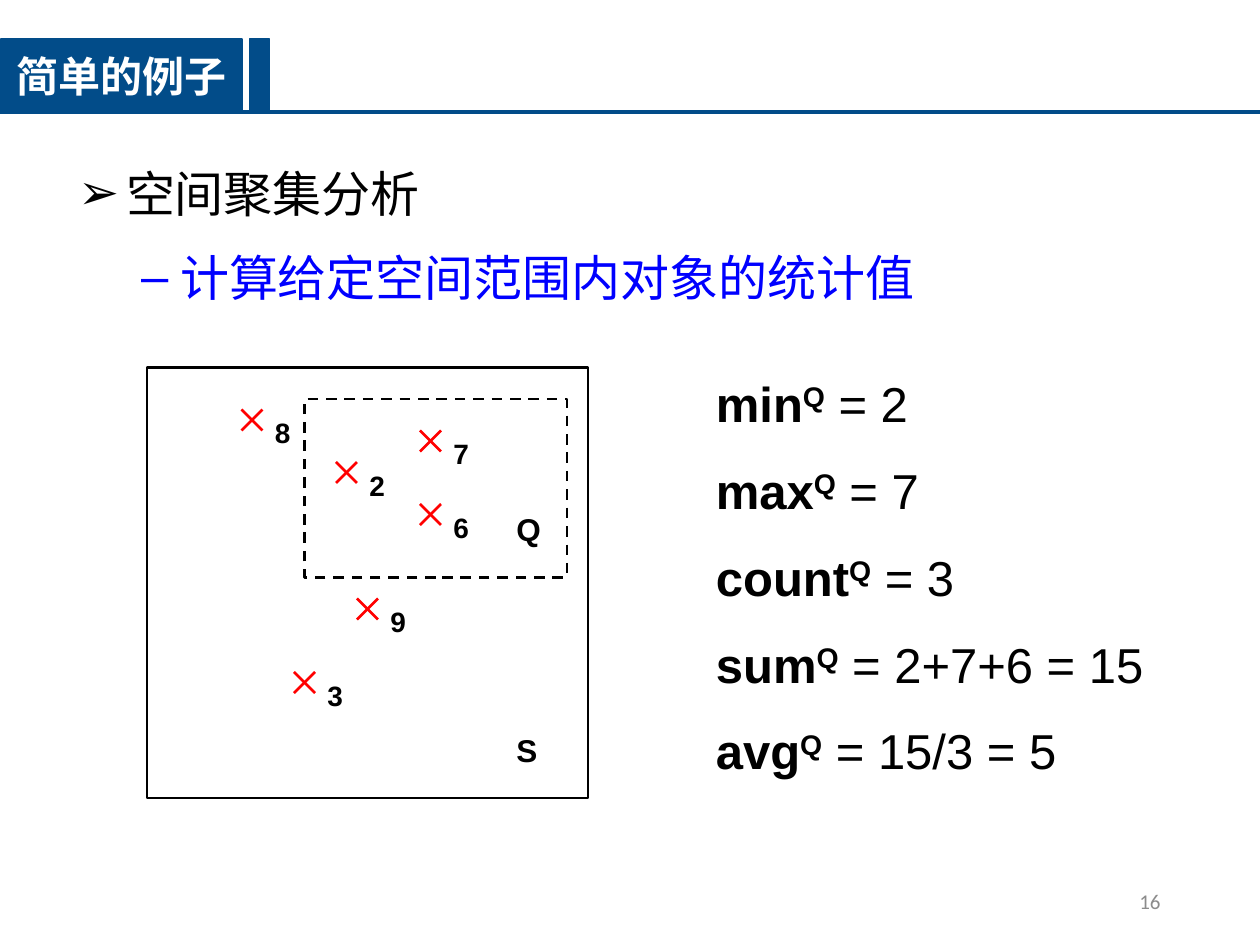
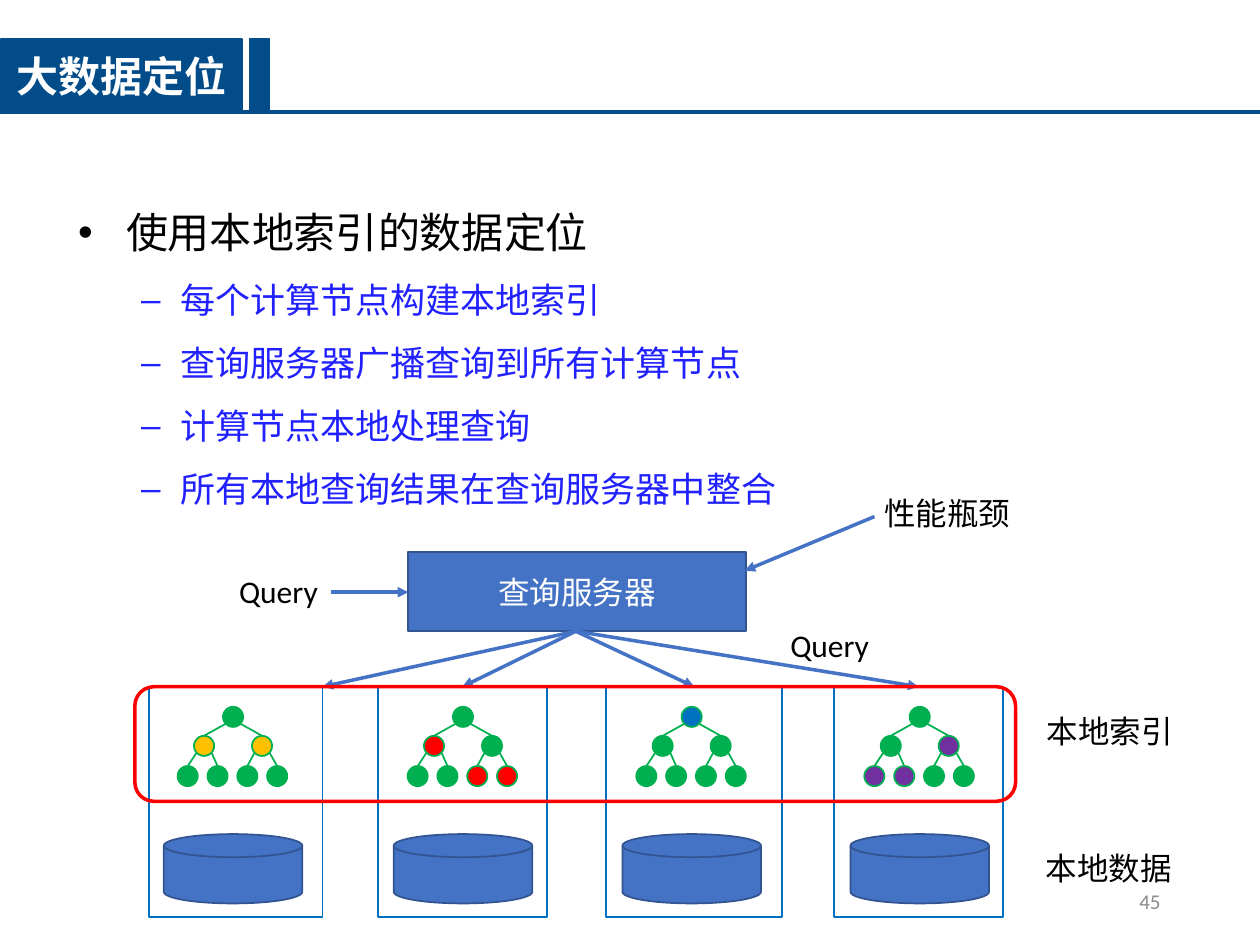
from lxml.etree import SubElement
from pptx import Presentation
from pptx.dml.color import RGBColor
from pptx.enum.dml import MSO_LINE
from pptx.enum.shapes import MSO_CONNECTOR, MSO_SHAPE
from pptx.enum.text import MSO_ANCHOR, MSO_AUTO_SIZE, PP_ALIGN
from pptx.oxml.ns import qn
from pptx.util import Inches, Pt

deck = Presentation()
deck.slide_width, deck.slide_height = Inches(10), Inches(7.5)
unit = deck.slide_width / 120
hue = RGBColor.from_string
NAVY, BLUE, EDGE, SEA = "024C89", "4472C4", "325491", "0070C0"
GREEN, RED, GOLD, PLUM = "00B050", "FF0000", "FFC000", "7030A0"
BLACK, WHITE, GREY = "000000", "FFFFFF", "8C8C8C"
NOTO = "Noto Sans CJK SC"
RECT = MSO_SHAPE.RECTANGLE
LEFT, MID, RIGHT = PP_ALIGN.LEFT, PP_ALIGN.CENTER, PP_ALIGN.RIGHT


def place(slide, kind, at, fill=None, edge=None, wide=1, tip=False):
    span = [round(v * unit) for v in at]
    if kind == "line":
        item = slide.shapes.add_connector(MSO_CONNECTOR.STRAIGHT, *span)
    elif kind == "text":
        item = slide.shapes.add_textbox(*span)
    elif kind in ("title", "body"):
        item = slide.placeholders[0 if kind == "title" else 1]
        item.left, item.top, item.width, item.height = span
    else:
        item = slide.shapes.add_shape(kind, *span)
    if kind != "line":
        item.text_frame.word_wrap = True
        item.text_frame.auto_size = MSO_AUTO_SIZE.NONE
        if fill:
            item.fill.solid()
            item.fill.fore_color.rgb = hue(fill)
        else:
            item.fill.background()
    if edge:
        item.line.color.rgb = hue(edge)
        item.line.width = Pt(wide)
        if tip:
            SubElement(item.line._get_or_add_ln(), qn("a:tailEnd"), type="triangle")
        SubElement(item._element.spPr, qn("a:effectLst"))
    return item


def write(para, text, size, face, tint=BLACK, bold=False, align=LEFT):
    if text:
        para.add_run().text = text
    para.alignment = align
    font = para.font
    font.size, font.name, font.bold = Pt(size), face, bold
    font.color.rgb = hue(tint)


pages = [
    ("简单的例子", "16", (6.24, 13.56, 103.8, 37.08), [
        ("空间聚集分析", 0, "➢", 28, NOTO, BLACK),
        ("计算给定空间范围内对象的统计值", 1, "–", 28, NOTO, "0000FF")]),
    ("大数据定位", "45", (6.24, 17.88, 77.76, 27.48), [
        ("使用本地索引的数据定位", 0, "•", 24, "Times New Roman", BLACK)] + [
        (line, 1, "–", 20, "Times New Roman", "2121FF") for line in (
            "每个计算节点构建本地索引", "查询服务器广播查询到所有计算节点",
            "计算节点本地处理查询", "所有本地查询结果在查询服务器中整合")]),
]
for head, num, at, rows in pages:
    slide = deck.slides.add_slide(deck.slide_layouts[1])
    place(slide, "line", (0, 10.68, 120, 10.68), edge=NAVY, wide=2)
    title = place(slide, "title", (0.12, 3.72, 22.92, 6.96), NAVY, NAVY)
    write(title.text_frame.paragraphs[0], head, 24, "Arial", WHITE, True, MID)
    place(slide, RECT, (23.76, 3.72, 1.92, 6.96), NAVY, NAVY)
    frame = place(slide, "body", at).text_frame
    for i, (text, level, mark, size, face, tint) in enumerate(rows):
        para = frame.add_paragraph() if i else frame.paragraphs[0]
        para.level = level
        para.line_spacing = 1.25
        para.space_before = Pt(6 if i else 0)
        props = para._p.get_or_add_pPr()
        props.set("marL", str(Inches((0.38, 0.81)[level])))
        props.set("indent", str(Inches((-0.38, -0.31)[level])))
        SubElement(props, qn("a:buChar"), char=mark)
        write(para, text, size, face, tint, align=PP_ALIGN.JUSTIFY)
    foot = place(slide, "text", (84.72, 83.4, 27, 4.8)).text_frame
    foot.vertical_anchor = MSO_ANCHOR.MIDDLE
    write(foot.paragraphs[0], num, 12, "Calibri", GREY, align=RIGHT)

first, last = deck.slides

place(first, RECT, (14, 35, 42, 41), edge=BLACK, wide=1.5)
zone = place(first, RECT, (29, 38, 25, 17), edge=BLACK, wide=1.5)
zone.line.dash_style = MSO_LINE.DASH
points = [("9", 34, 57), ("6", 40, 48), ("3", 28, 64),
          ("8", 23, 39), ("2", 32, 44), ("7", 40, 41)]
tags = [("Q", 48, 48, 5, 18), ("S", 48, 69, 7, 18)]
for mark, x, y in points:
    place(first, "line", (x, y + 2, x + 2, y), edge=RED, wide=1.5)
    place(first, "line", (x + 2, y + 2, x, y), edge=RED, wide=1.5)
    tags.append((mark, x + 2, y, 3, 16))
for text, x, y, w, size in tags:
    tag = place(first, "text", (x, y, w, 4.8))
    write(tag.text_frame.paragraphs[0], text, size, "Arial", bold=True)

frame = place(first, "text", (67, 35, 45, 40.8)).text_frame
sums = [("min", " = 2"), ("max", " = 7"), ("count", " = 3"),
        ("sum", " = 2+7+6 = 15"), ("avg", " = 15/3 = 5")]
for i, (name, value) in enumerate(sums):
    para = frame.add_paragraph() if i else frame.paragraphs[0]
    para.space_before = Pt(16 if i else 0)
    for text in (name, "Q", value):
        run = para.add_run()
        run.text = text
        run.font.bold = text != value
        if text == "Q":
            run.font._element.set("baseline", "30000")
    write(para, "", 28, "Arial")

nodes = [(14.16, 16.56, 16.92, 30.72, GOLD, (1, 2)),
         (36, 16.08, 38.82, 44.04, RED, (1, 5, 6)),
         (57.72, 16.8, 60.6, 66.12, SEA, (0,)),
         (79.44, 16.08, 82.32, 87.48, PLUM, (2, 3, 4))]
spots = [(4.32, 67.32), (1.56, 70.08), (7.08, 70.08)]
spots += [(2.84 * i, 72.96) for i in range(4)]
for x, w, tree, goal, tint, hits in nodes:
    place(last, RECT, (x, 65.4, w, 21.96), edge=SEA)
    for i, (dx, y) in enumerate(spots):
        fill = tint if i in hits else GREEN
        place(last, MSO_SHAPE.OVAL, (tree + dx, y, 1.92, 1.92), fill, GREEN)
        if i:
            px, py = spots[(i - 1) // 2]
            side = 0.24 if i % 2 else 1.68
            place(last, "line", (tree + px + side, py + 1.62, tree + dx + 0.96, y),
                  edge=GREEN)
    place(last, MSO_SHAPE.FLOWCHART_MAGNETIC_DISK,
          (tree - 1.32, 79.44, 13.2, 6.6), BLUE, EDGE)

hub = place(last, RECT, (38.88, 52.56, 32.16, 7.56), BLUE, EDGE).text_frame
hub.vertical_anchor = MSO_ANCHOR.MIDDLE
write(hub.paragraphs[0], "查询服务器", 18, "Calibri", WHITE, align=MID)
paths = [(54.84, 60.12, node[3], 65.4) for node in nodes]
paths += [(31.56, 56.4, 38.88, 56.4), (83.28, 49.2, 70.92, 54.36)]
for ends in paths:
    place(last, "line", ends, edge=BLUE, wide=2, tip=True)
place(last, MSO_SHAPE.ROUNDED_RECTANGLE, (12.84, 65.4, 83.88, 10.92), edge=RED, wide=2)
notes = [("本地数据", 98.4, 80.28, 15.12, NOTO, LEFT),
         ("本地索引", 98.52, 67.2, 15.12, NOTO, LEFT),
         ("Query", 21.48, 53.88, 10.08, "Calibri", MID),
         ("Query", 73.92, 59.04, 10.2, "Calibri", MID),
         ("性能瓶颈", 80.28, 46.44, 19.92, NOTO, MID)]
for text, x, y, w, face, align in notes:
    note = place(last, "text", (x, y, w, 4.8))
    write(note.text_frame.paragraphs[0], text, 18, face, align=align)

deck.save("out.pptx")
